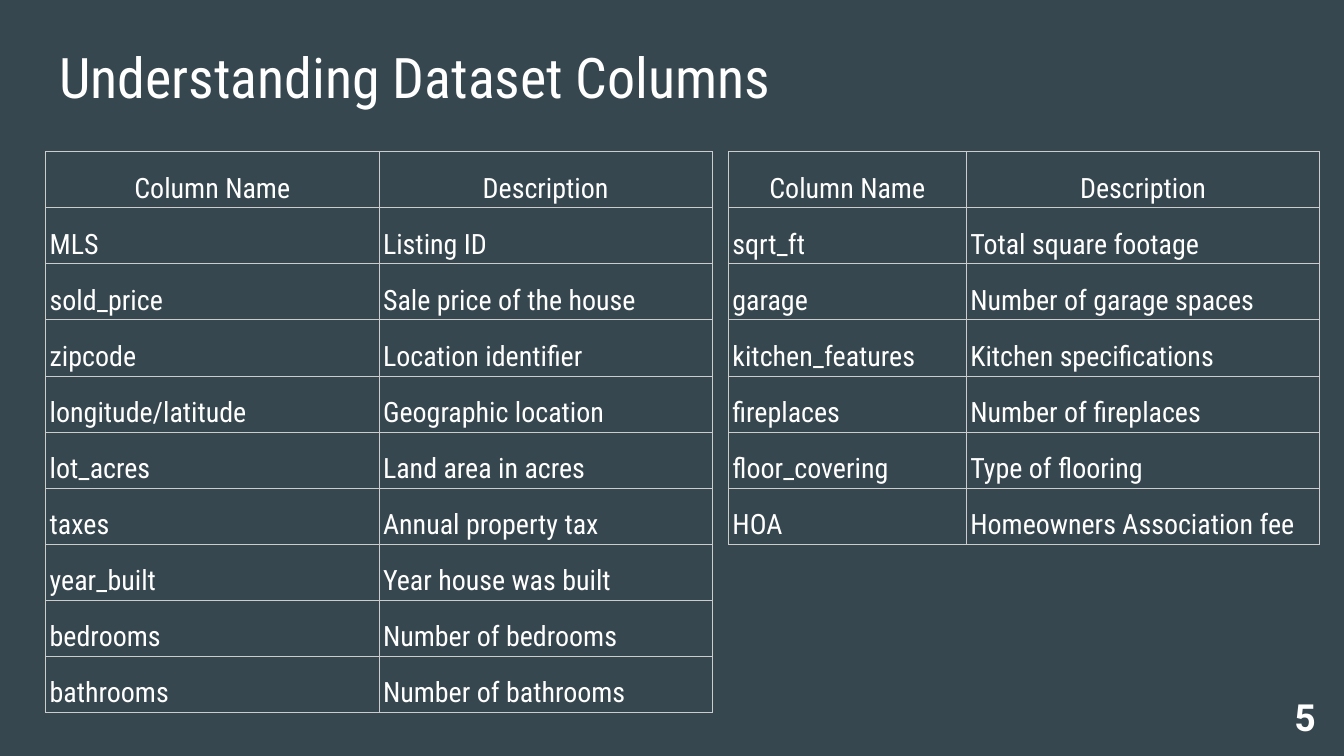
from lxml.etree import SubElement, Element
from pptx import Presentation
from pptx.dml.color import RGBColor
from pptx.enum.text import MSO_ANCHOR as Anchor, MSO_AUTO_SIZE as AutoSize, PP_ALIGN as Align
from pptx.oxml.ns import qn
from pptx.util import Inches, Pt

BACKGROUND = "37474F"
WHITE = "FFFFFF"
BORDER = "CCCCCC"
CONDENSED = "Roboto Condensed"
ROW_HEIGHT = Inches(4.17) // 10
TABLE_TOP = 1.13
HEADER = ("Column Name", "Description")

LISTING_COLUMNS = [
    ("MLS", "Listing ID"),
    ("sold_price", "Sale price of the house"),
    ("zipcode", "Location identifier"),
    ("longitude/latitude", "Geographic location"),
    ("lot_acres", "Land area in acres"),
    ("taxes", "Annual property tax"),
    ("year_built", "Year house was built"),
    ("bedrooms", "Number of bedrooms"),
    ("bathrooms", "Number of bathrooms"),
]
FEATURE_COLUMNS = [
    ("sqrt_ft", "Total square footage"),
    ("garage", "Number of garage spaces"),
    ("kitchen_features", "Kitchen specifications"),
    ("fireplaces", "Number of fireplaces"),
    ("floor_covering", "Type of flooring"),
    ("HOA", "Homeowners Association fee"),
]


def color(value):
    return RGBColor.from_string(value)


def format_text(frame, size, font_name, align, bold=False):
    para = frame.paragraphs[0]
    para.alignment = align
    font = para.runs[0].font
    font.size = Pt(size)
    font.name = font_name
    font.bold = bold
    font.color.rgb = color(WHITE)
    return para


def set_margins(target, horizontal, vertical):
    target.margin_left = target.margin_right = Inches(horizontal)
    target.margin_top = target.margin_bottom = Inches(vertical)


def fill_text_box(box, text, place, anchor, size, font_name, align, bold=False):
    box.left, box.top, box.width, box.height = map(Inches, place)
    frame = box.text_frame
    frame.text = text
    frame.word_wrap = True
    frame.auto_size = AutoSize.NONE
    frame.vertical_anchor = anchor
    set_margins(frame, 0.1, 0.1)
    para = format_text(frame, size, font_name, align, bold)
    para.line_spacing = 1.0
    para.space_before = Pt(0)


def add_borders(cell):
    properties = cell._tc.get_or_add_tcPr()
    for position, side in enumerate(("lnL", "lnR", "lnT", "lnB")):
        line = Element(qn(f"a:{side}"), w=str(Pt(0.6)))
        fill = SubElement(line, qn("a:solidFill"))
        SubElement(fill, qn("a:srgbClr"), val=BORDER)
        properties.insert(position, line)


def fill_cell(cell, text, align):
    cell.text_frame.text = text
    cell.vertical_anchor = Anchor.BOTTOM
    set_margins(cell, 0.03, 0.02)
    cell.fill.background()
    para = format_text(cell.text_frame, 15, CONDENSED, align)
    para.line_spacing = 1.15
    add_borders(cell)


def add_column_table(page, left, widths, entries):
    rows = [HEADER, *entries]
    frame = page.shapes.add_table(
        len(rows), len(widths), Inches(left), Inches(TABLE_TOP),
        Inches(sum(widths)), ROW_HEIGHT * len(rows))
    table = frame.table
    table.first_row = False
    table.horz_banding = False
    for column, width in zip(table.columns, widths):
        column.width = Inches(width)
    for row_index, texts in enumerate(rows):
        table.rows[row_index].height = ROW_HEIGHT
        align = Align.LEFT if row_index else Align.CENTER
        for column_index, text in enumerate(texts):
            fill_cell(table.cell(row_index, column_index), text, align)


def main():
    deck = Presentation()
    deck.slide_width = Inches(10)
    deck.slide_height = deck.slide_width * 9 // 16
    page = deck.slides.add_slide(deck.slide_layouts[5])
    page.background.fill.solid()
    page.background.fill.fore_color.rgb = color(BACKGROUND)

    fill_text_box(page.shapes.title, "Understanding Dataset Columns",
                  (0.34, 0.22, 9.32, 0.63), Anchor.TOP, 30, CONDENSED, Align.LEFT)
    add_column_table(page, 0.34, (2.48, 2.48), LISTING_COLUMNS)
    add_column_table(page, 5.42, (1.77, 2.63), FEATURE_COLUMNS)
    page_number = page.shapes.add_textbox(0, 0, 0, 0)
    fill_text_box(page_number, "5", (9.29, 5.12, 0.6, 0.43),
                  Anchor.MIDDLE, 20, "Roboto", Align.RIGHT, bold=True)
    deck.save("out.pptx")


if __name__ == "__main__":
    main()
